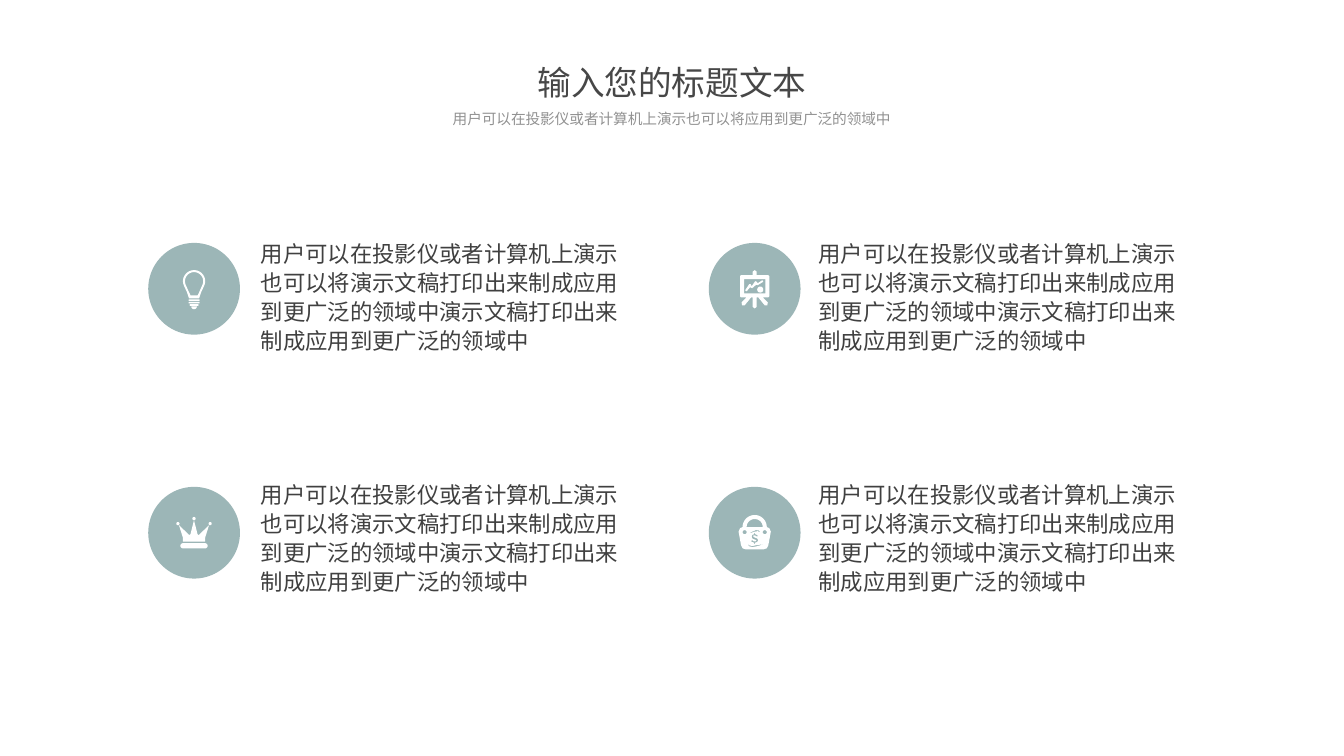
from math import cos, radians, sin

from lxml.etree import SubElement
from pptx import Presentation
from pptx.dml.color import RGBColor
from pptx.enum.shapes import MSO_SHAPE as Preset
from pptx.enum.text import PP_ALIGN as Align
from pptx.oxml.ns import qn
from pptx.util import Inches, Pt

TITLE = "输入您的标题文本"
SUBTITLE = "用户可以在投影仪或者计算机上演示也可以将应用到更广泛的领域中"
BODY = ("用户可以在投影仪或者计算机上演示也可以将演示文稿打印出来制成应用到更广泛的领域中"
        "演示文稿打印出来制成应用到更广泛的领域中")
CIRCLE_SIZE = 0.91
COLUMNS = [(1.47, 2.49), (7.03, 8.02)]  # circle left, text left
ROWS = [(2.41, 2.31), (4.83, 4.7)]  # circle top, text top


# Icon outlines are in hundredths of an inch from the centre of the circle.
def arc(x, y, radius, start=0, end=360, steps=32):
    angles = [radians(start + (end - start) * i / steps) for i in range(steps + 1)]
    return [(x + radius * cos(angle), y + radius * sin(angle)) for angle in angles]


def bar(half_width, top, bottom):
    """Outline a horizontal bar with round ends, centred on x = 0."""
    radius = (bottom - top) / 2
    middle, reach = top + radius, half_width - radius
    return arc(reach, middle, radius, -90, 90) + arc(-reach, middle, radius, 90, 270)


def mirror(right_half):
    """Close an outline by reflecting its right half about x = 0."""
    return right_half + [(-x, y) for x, y in reversed(right_half)]


def bulb():
    outer = arc(0, -7.5, 11, -90, 20) + [(7, 3.5), (5, 9.5)]
    inner = arc(0, -7.5, 9, -90, 20) + [(5, 3.5), (3.5, 6.5)]
    threads = [bar(width, top, top + 1.6)
               for width, top in [(5.5, 10.5), (5.5, 13), (4.5, 15.3)]]
    return [mirror(outer), mirror(inner), *threads, arc(0, 17.4, 2.8, 0, 180)]


def crown():
    body = [(0, -12.3), (3.5, 1.5), (4.5, 2.5), (14.9, -7.4), (11, 5), (11, 9)]
    jewels = [arc(x, y, 1.6) for x, y in [(-16, -9), (0, -14), (16, -9)]]
    return [mirror(body), bar(13.5, 10.5, 15.5), *jewels]


def easel():
    frame = [(0, -18.5), (2, -17), (2, -13.5), (13.5, -13.5), (14.5, -12.5),
             (14.5, 7.5), (13.5, 8.5), (8, 8.5), (13, 13.5), (12.5, 16.5),
             (10, 16.5), (3.5, 8.5), (2, 8.5), (2, 18), (0, 19.5)]
    board = [(10.5, -9.5), (10.5, 4.5)]
    trend = [(-9.5, 1.5), (-5.5, -4.5), (-4, -4.5), (-3, -2.5), (0.5, -7.5),
             (2, -7), (3, -5.5), (7.5, -8.5), (8.5, -7), (3, -3.5),
             (1.5, -4), (-2.5, -0.5), (-4.5, -1.5), (-8, 2.5)]
    return [mirror(frame), mirror(board), trend, arc(5.5, 0.8, 3)]


def bag():
    outline = (arc(0, -5.5, 12, -90, 0)
               + [(14.5, -4.5), (16, -1), (13.5, 12.5), (12, 15.5), (9, 16.5)])
    handle = arc(0, -5.5, 8, 180, 360)
    dollar = [(-0.5, 0.5), (0.5, 0.5), (0.5, 1.5), (3, 2.5), (2.5, 4), (0.5, 2.8),
              (-1.2, 2.8), (-1.2, 4.3), (2.5, 5.8), (3.5, 7.5), (2.5, 9.2),
              (0.5, 9.9), (0.5, 11), (-0.5, 11), (-0.5, 9.9), (-3.3, 9),
              (-2.8, 7), (-1, 8.6), (1, 8.6), (1.7, 7.5), (-2.3, 5.8),
              (-3, 4.3), (-2.5, 2.3), (-0.5, 1.5)]
    upper_fold = [(-6, -0.5), (-3, -0.8), (1, -2.5), (4, -2.3), (6, 0),
                  (3, -1.5), (0, -1), (-3, 0)]
    lower_fold = [(-8, 10.5), (-5, 12.8), (-2, 13.2), (2, 12.3), (9.5, 11.5),
                  (2, 13.5), (-2, 14.3), (-5.5, 13.5)]
    eyelets = [arc(x, -0.5, 2) for x in (-10, 10)]
    return [mirror(outline), handle, dollar, upper_fold, lower_fold, *eyelets]


def color(value):
    return RGBColor.from_string(value)


class SlideBuilder:
    font = "Noto Sans CJK SC"
    accent = "9CB6B7"
    icon_color = "FFFFFF"

    def __init__(self, slide):
        self.shapes = slide.shapes

    def paint(self, shape, fill):
        shape.shadow.inherit = False
        shape.fill.solid()
        shape.fill.fore_color.rgb = color(fill)
        shape.line.fill.background()

    def circle(self, left, top, size):
        shape = self.shapes.add_shape(
            Preset.OVAL, Inches(left), Inches(top), Inches(size), Inches(size))
        self.paint(shape, self.accent)

    def icon(self, outlines, center_x, center_y):
        builder = None
        for outline in outlines:
            points = [(10 * x, 10 * y) for x, y in outline]
            if builder is None:
                builder = self.shapes.build_freeform(*points[0], scale=Inches(1) / 1000)
            else:
                builder.move_to(*points[0])
            builder.add_line_segments(points[1:], close=True)
        shape = builder.convert_to_shape(Inches(center_x), Inches(center_y))
        self.paint(shape, self.icon_color)

    def text(self, text, left, top, width, height, *, size, fill,
             align=Align.LEFT, spacing=1.0, inset=(0.1, 0.05)):
        box = self.shapes.add_textbox(
            Inches(left), Inches(top), Inches(width), Inches(height))
        frame = box.text_frame
        frame.word_wrap = True
        frame.margin_left = frame.margin_right = Inches(inset[0])
        frame.margin_top = frame.margin_bottom = Inches(inset[1])
        paragraph = frame.paragraphs[0]
        paragraph.alignment = align
        paragraph.line_spacing = spacing
        run = paragraph.add_run()
        run.text = text
        run.font.size = Pt(size)
        run.font.name = self.font
        run.font.color.rgb = color(fill)
        SubElement(run.font._element, qn("a:ea")).set("typeface", self.font)


def main():
    presentation = Presentation()
    presentation.slide_width = Inches(13.33)
    presentation.slide_height = Inches(7.5)
    builder = SlideBuilder(presentation.slides.add_slide(presentation.slide_layouts[6]))

    icons = [[bulb(), easel()], [crown(), bag()]]
    for (circle_top, text_top), row_icons in zip(ROWS, icons):
        for (circle_left, text_left), outlines in zip(COLUMNS, row_icons):
            builder.circle(circle_left, circle_top, CIRCLE_SIZE)
            builder.icon(outlines, circle_left + CIRCLE_SIZE / 2,
                         circle_top + CIRCLE_SIZE / 2)
            builder.text(BODY, text_left, text_top, 3.85, 1.25,
                         size=16, fill="404040", spacing=1.08)

    builder.text(TITLE, 5.23, 0.57, 2.87, 0.5,
                 size=24, fill="474747", align=Align.CENTER)
    builder.text(SUBTITLE, 2.85, 1.05, 7.63, 0.23, size=10.5, fill="929292",
                 align=Align.CENTER, spacing=1.08, inset=(0.05, 0.03))
    presentation.save("out.pptx")


if __name__ == "__main__":
    main()
